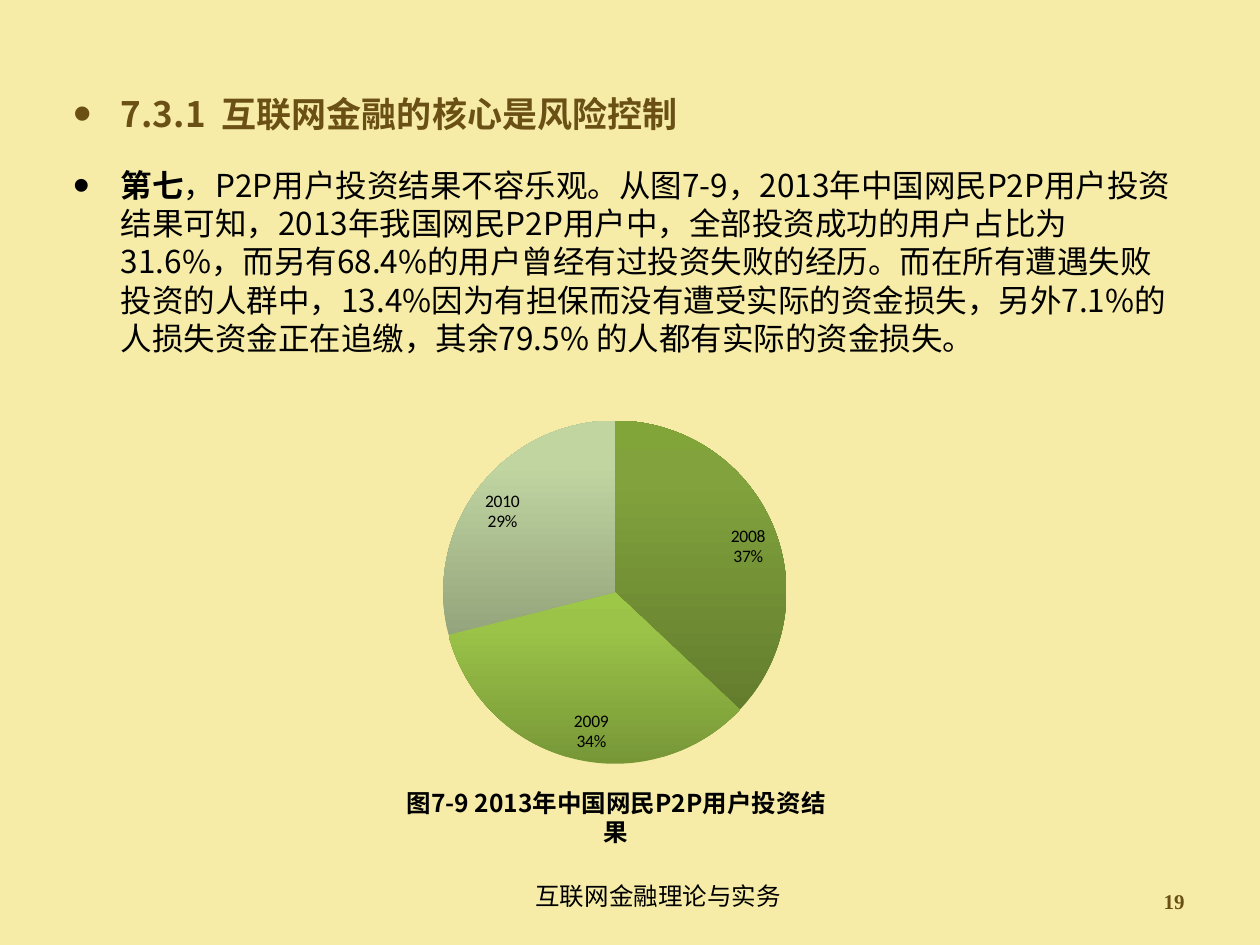
from copy import deepcopy

from lxml.etree import SubElement
from pptx import Presentation
from pptx.chart.data import CategoryChartData
from pptx.dml.color import RGBColor
from pptx.enum.chart import XL_CHART_TYPE as ChartType, XL_LABEL_POSITION as LabelPosition
from pptx.enum.text import MSO_ANCHOR as Anchor, MSO_AUTO_SIZE as AutoSize, PP_ALIGN as Align
from pptx.oxml.ns import qn
from pptx.util import Inches, Pt

CREAM = RGBColor(0xF6, 0xEC, 0xA7)
BROWN = RGBColor(0x6A, 0x50, 0x15)
BLACK = RGBColor(0x00, 0x00, 0x00)
SLICE_GRADIENTS = [
    [RGBColor.from_string(code) for code in codes]
    for codes in (
        ("637D2E", "81A23C", "82A53A"),
        ("779737", "9BC348", "9DC746"),
        ("94A47C", "C1D5A1", "C2D7A1"),
    )
]
STOP_POSITIONS = (0, 0.8, 1)
SANS = "Noto Sans CJK SC"
SERIF = "Times New Roman"
LINE_FACTOR = 1.21

HEADING = "7.3.1  互联网金融的核心是风险控制"
LEAD = "第七"
DETAIL = (
    "，P2P用户投资结果不容乐观。从图7-9，2013年中国网民P2P用户投资结果可知，"
    "2013年我国网民P2P用户中，全部投资成功的用户占比为31.6%，而另有68.4%的用户"
    "曾经有过投资失败的经历。而在所有遭遇失败投资的人群中，13.4%因为有担保而没有"
    "遭受实际的资金损失，另外7.1%的人损失资金正在追缴，其余79.5% 的人都有实际的资金损失。"
)


def style_paragraph(para, size, color=BLACK, name=SANS, bold=False):
    para.line_spacing = Pt(round(size * LINE_FACTOR, 1))
    font = para.font
    font.size, font.bold, font.name = Pt(size), bold, name
    font.color.rgb = color
    defaults = para._p.pPr.find(qn("a:defRPr"))
    SubElement(defaults, qn("a:ea")).set("typeface", name)


def add_bullet(para):
    properties = para._p.pPr
    properties.set("marL", str(Inches(0.38)))
    properties.set("indent", str(Inches(-0.38)))
    defaults = properties.find(qn("a:defRPr"))
    for tag, key, value in (
        ("a:buSzPct", "val", "150000"),
        ("a:buFont", "typeface", "Arial"),
        ("a:buChar", "char", "•"),
    ):
        bullet = SubElement(properties, qn(tag))
        bullet.set(key, value)
        defaults.addprevious(bullet)


def fill_body(page, box):
    body = page.placeholders[1]
    body.left, body.top, body.width, body.height = box
    frame = body.text_frame
    frame.auto_size = AutoSize.NONE
    frame.vertical_anchor = Anchor.TOP
    heading, detail = frame.paragraphs[0], frame.add_paragraph()
    heading.text = HEADING
    lead = detail.add_run()
    lead.text = LEAD
    lead.font.bold = True
    detail.add_run().text = DETAIL
    style_paragraph(heading, 20, BROWN, bold=True)
    style_paragraph(detail, 18)
    for para in (heading, detail):
        para.space_before = Pt(18)
        add_bullet(para)


def add_label(page, box, text, size, align, anchor=Anchor.TOP, **style):
    frame = page.shapes.add_textbox(*box).text_frame
    frame.word_wrap = True
    frame.vertical_anchor = anchor
    para = frame.paragraphs[0]
    para.text = text
    para.alignment = align
    style_paragraph(para, size, **style)


def add_result_pie(page, box):
    data = CategoryChartData()
    data.categories = ["2008", "2009", "2010"]
    data.add_series("Series 1", (37, 34, 29))
    chart = page.shapes.add_chart(ChartType.PIE, *box, data).chart
    chart.has_legend = chart.has_title = False
    chart.font.size, chart.font.name = Pt(10), "Calibri"
    chart.font.color.rgb = BLACK

    plot = chart.plots[0]
    plot.vary_by_categories = True
    plot.has_data_labels = True
    labels = plot.data_labels
    labels.show_category_name = labels.show_percentage = True
    labels.show_value = False
    labels.position = LabelPosition.INSIDE_END
    labels.font.size, labels.font.name = Pt(10), "Calibri"
    labels.font.color.rgb = BLACK

    for index, colors in enumerate(SLICE_GRADIENTS):
        fill = plot.series[0].points[index].format.fill
        fill.gradient()
        fill.gradient_angle = 90
        stop_list = list(chart._chartSpace.iter(qn("a:gsLst")))[-1]
        stop_list.append(deepcopy(stop_list[0]))
        for stop, position, color in zip(fill.gradient_stops, STOP_POSITIONS, colors):
            stop.position = position
            stop.color.rgb = color


def inches(*lengths):
    return [Inches(length) for length in lengths]


def main():
    deck = Presentation()
    deck.slide_width, deck.slide_height = inches(10, 7.5)
    page = deck.slides.add_slide(deck.slide_layouts[1])
    page.background.fill.solid()
    page.background.fill.fore_color.rgb = CREAM
    title = page.shapes.title._element
    title.getparent().remove(title)

    add_label(page, inches(3.06, 6.94, 4.33, 0.34), "互联网金融理论与实务", 14, Align.CENTER)
    fill_body(page, inches(0.48, 0.68, 9, 2.83))
    add_label(page, inches(7.17, 6.95, 2.33, 0.4), "19", 12, Align.RIGHT,
              Anchor.MIDDLE, color=BROWN, name=SERIF, bold=True)
    add_label(page, inches(3.07, 6.2, 3.64, 0.34), "图7-9 2013年中国网民P2P用户投资结果",
              14, Align.CENTER, bold=True)
    add_result_pie(page, inches(2.38, 3.2, 5, 3))
    deck.save("out.pptx")


if __name__ == "__main__":
    main()
